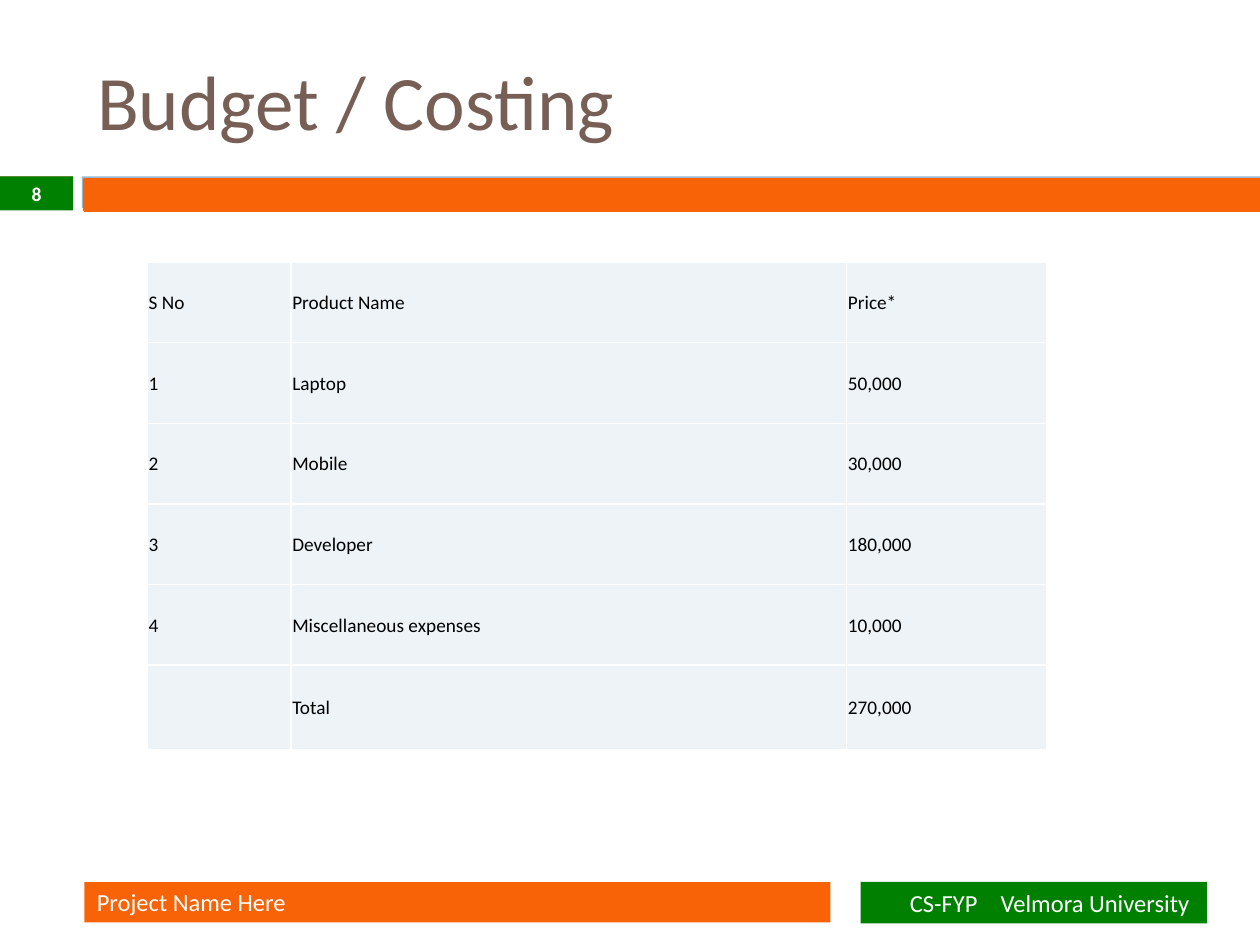
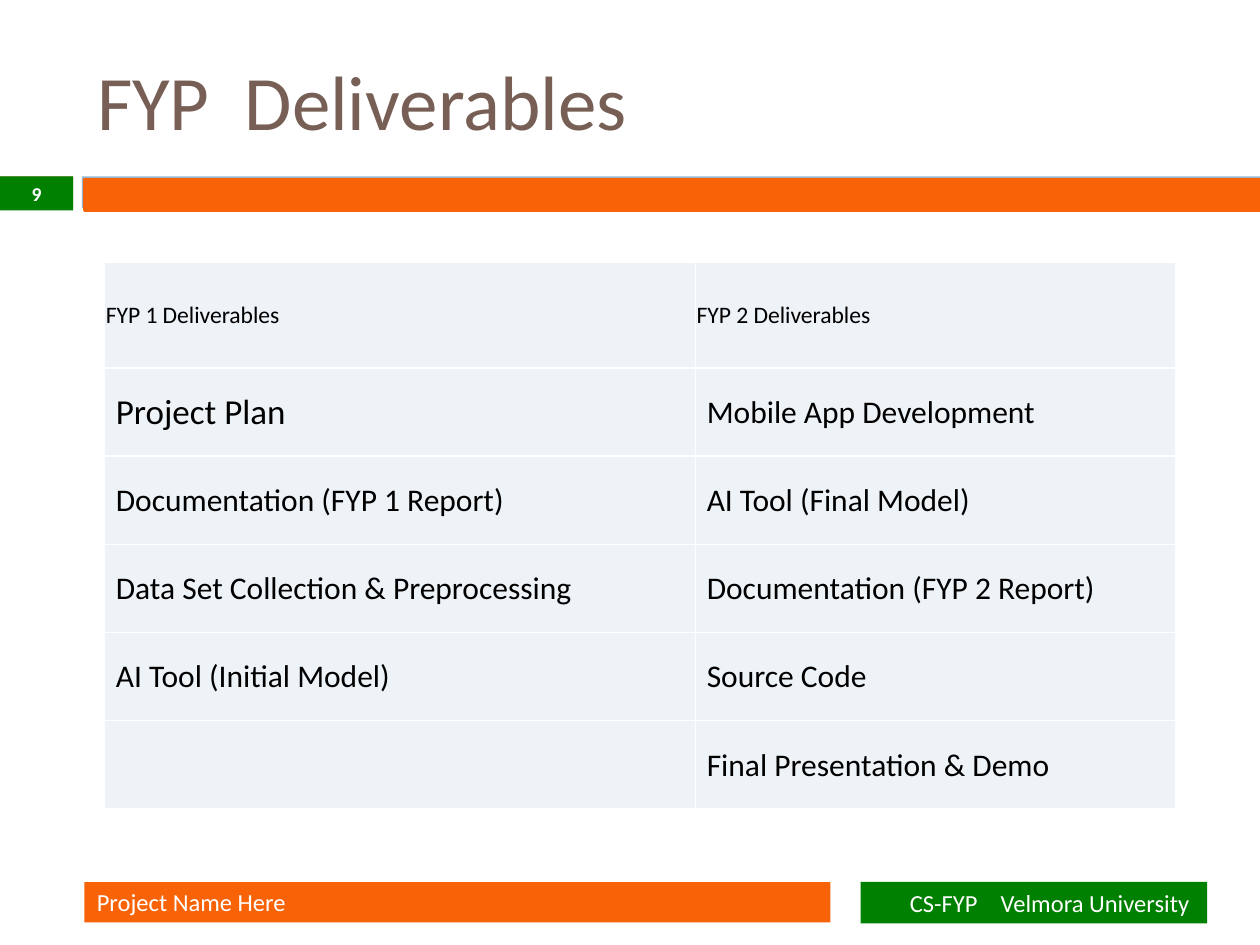
from lxml.etree import SubElement
from pptx import Presentation
from pptx.dml.color import RGBColor
from pptx.enum.shapes import MSO_SHAPE
from pptx.enum.text import MSO_ANCHOR, PP_ALIGN
from pptx.oxml import parse_xml
from pptx.oxml.ns import nsdecls, qn
from pptx.util import Inches, Pt

FONT = "Calibri"
ORANGE, GREEN, WHITE, BLACK = "F86308", "008000", "FFFFFF", "000000"
BROWN, RUST, BLUE, CELL = "775F55", "DD8047", "94B6D2", "EEF3F7"
WIDE_GAP = 10  # points added to a space between two groups of words

PROJECT = ["Project Name Here"]
COURSE = ["CS-FYP", "Velmora University"]

SLIDES = [
    {
        "number": 8,
        "title": ["Budget / Costing"],
        "left": 1.17,
        "columns": [1.14, 4.41, 1.59],
        "heights": [0.64] * 5 + [0.67],
        "head_size": 11,
        "body_size": 11,
        "body_inset": 0.01,
        "align": PP_ALIGN.JUSTIFY,
        "rows": [
            ("S No", "Product Name", "Price*"),
            ("1", "Laptop", "50,000"),
            ("2", "Mobile", "30,000"),
            ("3", "Developer", "180,000"),
            ("4", "Miscellaneous expenses", "10,000"),
            ("", "Total", "270,000"),
        ],
    },
    {
        "number": 9,
        "title": ["FYP", "Deliverables"],
        "left": 0.83,
        "columns": [4.69, 3.81],
        "heights": [0.84] + [0.7] * 5,
        "head_size": 13.5,
        "body_size": 18,
        "body_inset": 0.09,
        "align": PP_ALIGN.LEFT,
        "large": {"Project Plan": 20},
        "rows": [
            ("FYP 1 Deliverables", "FYP 2 Deliverables"),
            ("Project Plan", "Mobile App Development"),
            ("Documentation (FYP 1 Report)", "AI Tool (Final Model)"),
            ("Data Set Collection & Preprocessing", "Documentation (FYP 2 Report)"),
            ("AI Tool (Initial Model)", "Source Code"),
            ("", "Final Presentation & Demo"),
        ],
    },
]


def colour(value):
    return RGBColor.from_string(value)


def write(paragraph, groups, size, ink, align=PP_ALIGN.LEFT, bold=False):
    """Write groups of words in one style, parted by a widened space."""
    for index, group in enumerate(groups):
        if index:
            space = paragraph.add_run()
            space.text = " "
            space.font._element.set("spc", str(WIDE_GAP * 100))
        paragraph.add_run().text = group
    paragraph.alignment = align
    font = paragraph.font
    font.name, font.size, font.bold = FONT, Pt(size), bold
    font.color.rgb = colour(ink)


def add_band(page, left, top, width, height, fill, line=None):
    band = page.shapes.add_shape(
        MSO_SHAPE.RECTANGLE, Inches(left), Inches(top), Inches(width), Inches(height))
    band.shadow.inherit = False
    band.fill.solid()
    band.fill.fore_color.rgb = colour(fill)
    if line:
        band.line.color.rgb = colour(line)
        band.line.width = Pt(1.5)
    else:
        band.line.fill.background()
    band.text_frame.vertical_anchor = MSO_ANCHOR.MIDDLE
    return band


def add_title(page, groups):
    title = page.shapes.title
    title.left, title.top = Inches(0.67), Inches(0.25)
    title.width, title.height = Inches(8.33), Inches(1.08)
    title.text_frame.vertical_anchor = MSO_ANCHOR.MIDDLE
    write(title.text_frame.paragraphs[0], groups, 44, BROWN)


def add_header_bands(page):
    add_band(page, 0, 1.4, 0.58, 0.25, RUST)
    add_band(page, 0.65, 1.4, 9.35, 0.25, BLUE)
    add_band(page, 0.67, 1.42, 9.33, 0.25, ORANGE, line=ORANGE)


def add_footer_and_number(page, number):
    project = add_band(page, 0.67, 7, 5.92, 0.32, ORANGE)
    write(project.text_frame.paragraphs[0], PROJECT, 14, WHITE)
    badge = add_band(page, 0, 1.4, 0.58, 0.27, GREEN)
    write(badge.text_frame.paragraphs[0], [str(number)], 11.2, WHITE, PP_ALIGN.CENTER, True)
    course = add_band(page, 6.83, 7, 2.75, 0.33, GREEN)
    course.text_frame.margin_right = Inches(0.14)
    write(course.text_frame.paragraphs[0], COURSE, 14, WHITE, PP_ALIGN.RIGHT)


def set_borders(cell):
    properties = cell._tc.get_or_add_tcPr()
    for index, side in enumerate(("lnL", "lnR", "lnT", "lnB")):
        line = parse_xml(f'<a:{side} {nsdecls("a")} w="{Pt(1)}"/>')
        fill = SubElement(line, qn("a:solidFill"))
        SubElement(fill, qn("a:srgbClr"), val=WHITE)
        properties.insert(index, line)


def add_grid(page, content):
    rows, columns, heights = content["rows"], content["columns"], content["heights"]
    table = page.shapes.add_table(
        len(rows), len(columns), Inches(content["left"]), Inches(2.08),
        Inches(sum(columns)), Inches(sum(heights))).table
    table.first_row = table.horz_banding = False
    for column, width in zip(table.columns, columns):
        column.width = Inches(width)
    for row, height in zip(table.rows, heights):
        row.height = Inches(height)
    for row_index, words in enumerate(rows):
        size = content["body_size"] if row_index else content["head_size"]
        inset = content["body_inset"] if row_index else 0.01
        for column_index, text in enumerate(words):
            cell = table.cell(row_index, column_index)
            cell.fill.solid()
            cell.fill.fore_color.rgb = colour(CELL)
            set_borders(cell)
            cell.vertical_anchor = MSO_ANCHOR.MIDDLE
            cell.margin_left = Inches(inset)
            cell.margin_right = cell.margin_top = Inches(0.01)
            cell.margin_bottom = 0
            if text:
                text_size = content.get("large", {}).get(text, size)
                write(cell.text_frame.paragraphs[0], [text], text_size, BLACK,
                      content["align"])


def main():
    deck = Presentation()
    deck.slide_width, deck.slide_height = Inches(10), Inches(7.5)
    title_only = deck.slide_layouts[5]
    for content in SLIDES:
        page = deck.slides.add_slide(title_only)
        add_header_bands(page)
        add_title(page, content["title"])
        add_grid(page, content)
        add_footer_and_number(page, content["number"])
    deck.save("out.pptx")


if __name__ == "__main__":
    main()
